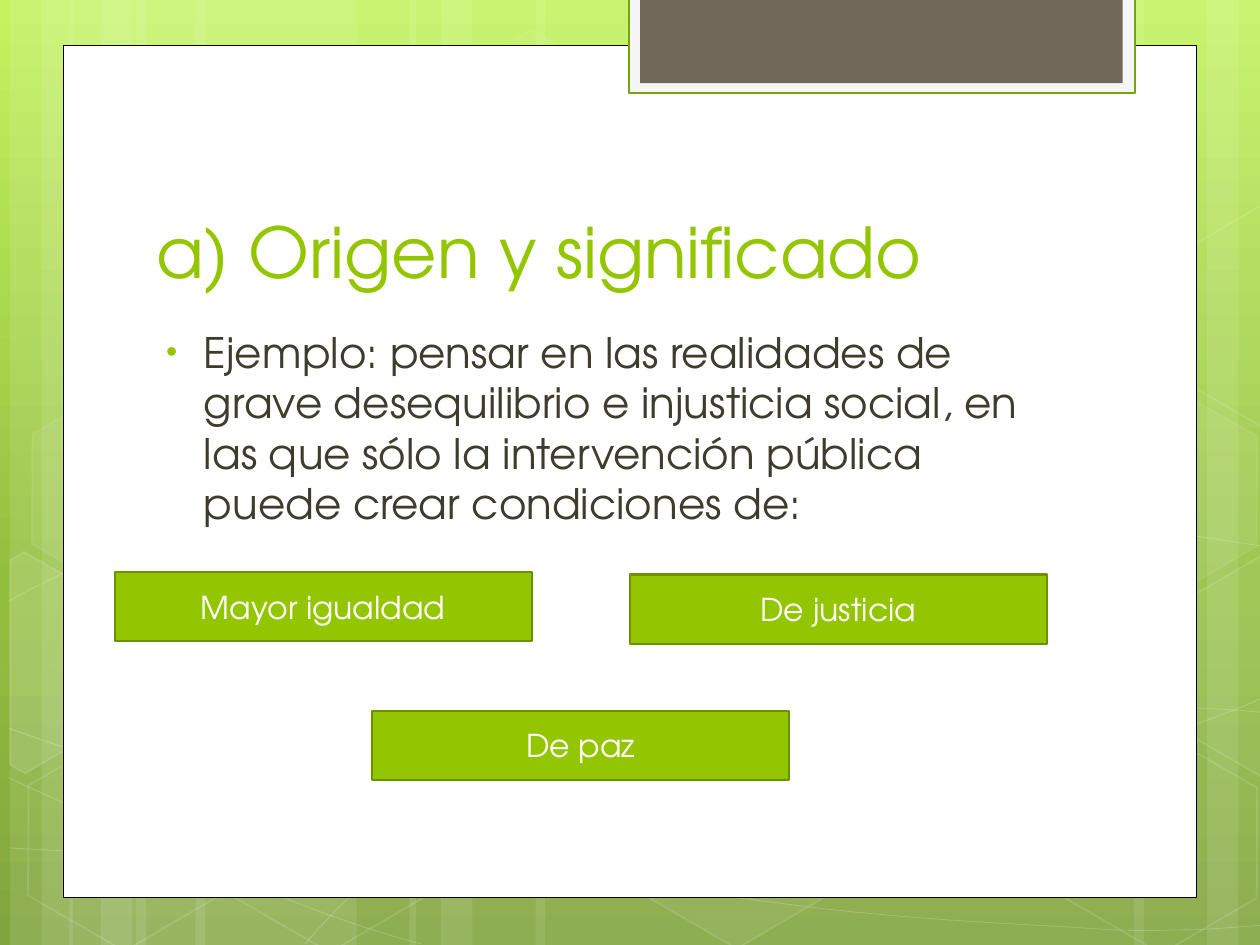
from lxml import etree
from pptx import Presentation
from pptx.dml.color import RGBColor
from pptx.enum.shapes import MSO_SHAPE
from pptx.enum.text import MSO_ANCHOR, PP_ALIGN
from pptx.oxml.ns import qn
from pptx.util import Inches, Pt

RECTANGLE, HEXAGON = MSO_SHAPE.RECTANGLE, MSO_SHAPE.HEXAGON
TOP, MIDDLE, BOTTOM = MSO_ANCHOR.TOP, MSO_ANCHOR.MIDDLE, MSO_ANCHOR.BOTTOM
LEFT, CENTER = PP_ALIGN.LEFT, PP_ALIGN.CENTER

WIDTH, HEIGHT = 10, 7.5
FONT = "TeX Gyre Adventor"
COLORS = {
    "white": "FFFFFF", "black": "000000", "accent": "94C600", "button_edge": "6D9200",
    "body": "3E3D2D", "tab": "F5F5F5", "tab_edge": "74A510", "tab_core": "71685A",
}
BACKGROUND = [(0, "C3F35F"), (62, "93BF3F"), (100, "81A53E")]

TITLE = "a) Origen y significado"
BODY = ("Ejemplo: pensar en las realidades de grave desequilibrio e injusticia social, "
        "en las que sólo la intervención pública puede crear condiciones de:")
BUTTON_LEFT, BUTTON_RIGHT = 0.91, 5
BUTTON_SIZE = (3.31, 0.55)
BUTTONS = [
    ("Mayor igualdad", BUTTON_LEFT, 4.54),
    ("De justicia", BUTTON_RIGHT, 4.56),
    ("De paz", (BUTTON_LEFT + BUTTON_RIGHT) / 2, 5.64),
]

STRIPES = [
    (1.08, 1.75), (0.08, 0.5), (0.33, 0.83), (1.55, 1.75), (0.55, 0.5), (0.8, 0.83),
    (7.33, 1.75), (9.58, 0.5), (9, 0.83), (4.25, 3.08), (3.25, 0.5), (3.5, 0.83),
]

CURVES = [
    [(0.07, 6.73), (0.61, 6.76), (1.15, 6.79), (1.9, 6.78), (2.65, 6.77), (3.58, 6.75),
     (4.58, 6.65), (5.58, 6.55), (7, 6.36), (7.92, 6.17), (8.83, 5.98), (9.77, 5.68), (10.07, 5.51)],
    [(0.07, 4.77), (0.36, 4.61), (0.65, 4.46), (1.21, 4.31), (1.78, 4.16), (2.59, 3.94),
     (3.47, 3.87), (4.36, 3.8), (5.44, 3.79), (6.54, 3.87), (7.64, 3.95), (9.47, 4.26), (10.07, 4.34)],
    [(0.06, 6.17), (1.27, 6.72), (2.47, 7.27), (3.34, 7.49)],
    [(0.07, 5.78), (0.38, 5.89), (0.7, 6), (1.28, 6.16), (1.86, 6.31), (2.73, 6.56), (3.57, 6.73),
     (4.4, 6.9), (5.45, 7.08), (6.28, 7.18), (7.11, 7.29), (8, 7.33), (8.53, 7.36),
     (9.05, 7.4), (9.19, 7.38), (9.45, 7.38), (9.71, 7.37), (9.89, 7.35), (10.07, 7.34)],
    [(2.42, 7.49), (2.6, 7.29), (2.78, 7.09), (3.02, 6.91), (3.26, 6.73), (3.6, 6.53), (3.88, 6.39),
     (4.16, 6.25), (4.33, 6.19), (4.7, 6.09), (5.06, 5.99), (5.73, 5.85), (6.08, 5.78),
     (6.44, 5.71), (6.49, 5.71), (6.8, 5.69), (7.11, 5.66), (7.6, 5.63), (7.94, 5.62),
     (8.29, 5.61), (8.86, 5.62), (8.86, 5.62), (8.86, 5.62), (9.53, 5.62), (9.53, 5.62),
     (9.71, 5.63), (9.88, 5.64), (9.97, 5.65), (10.06, 5.66), (10.03, 5.65), (10.06, 5.66)],
]
HEXAGON_SIZE = (1.75, 1.52)
HEXAGONS = [
    (3.34, 0.36, 4, 8), (4.97, 5.89, 6, 12), (0.11, 5.91, 0, 12), (0.14, 3.12, 7, 8),
    (1.74, 5.92, 0, 12), (7.53, 4.53, 10, 12), (8.34, 5.93, 0, 12), (8.34, 3.14, 7, 8),
]
CUT_HEXAGONS = [
    ([(0.08, 4.45), (0.19, 4.38), (0.96, 4.82), (0.95, 5.7), (0.2, 6.14), (0.08, 6.07)], 10),
    ([(9.26, 4.85), (10.01, 4.41), (10.09, 4.46), (10.09, 6.13), (10.02, 6.17), (9.26, 5.73)], 4),
    ([(9.26, 2.07), (10.01, 1.63), (10.1, 1.68), (10.09, 3.35), (10.02, 3.39), (9.26, 2.95)], 0),
]
PANELS = [
    ((0.5, 0.36, 9, 6.76), "white", "black", 0.5),
    ((4.99, -0.02, 4.02, 0.76), "tab", "tab_edge", 1.25),
    ((5.08, -0.02, 3.83, 0.68), "tab_core", None, 0),
]


def rgb(name):
    return RGBColor.from_string(COLORS[name])


def add_element(parent, tag, **attributes):
    return etree.SubElement(parent, qn(tag), {key: str(value) for key, value in attributes.items()})


def paint(fill, color, opacity=100):
    if not color or not opacity:
        fill.background()
        return
    fill.solid()
    fill.fore_color.rgb = rgb(color)
    if opacity < 100:
        color_element = fill._xPr.find(".//" + qn("a:srgbClr"))
        add_element(color_element, "a:alpha", val=opacity * 1000)


def style(shape, fill, line=None, width=0, fill_opacity=100, line_opacity=100):
    shape.shadow.inherit = False
    paint(shape.fill, fill, fill_opacity)
    paint(shape.line.fill, line, line_opacity)
    if line:
        shape.line.width = Pt(width)


def add_preset(slide, preset, box, *look):
    shape = slide.shapes.add_shape(preset, *map(Inches, box))
    style(shape, *look)
    return shape


def add_outline(slide, points, closed, *look):
    places = [(Inches(x), Inches(y)) for x, y in points]
    builder = slide.shapes.build_freeform(*places[0])
    builder.add_line_segments(places[1:], close=closed)
    shape = builder.convert_to_shape()
    style(shape, *look)
    return shape


def bend(shape):
    outline = shape._element.find(".//" + qn("a:path"))
    lines = outline.findall(qn("a:lnTo"))
    for first in range(0, len(lines), 3):
        curve = add_element(outline, "a:cubicBezTo")
        for line in lines[first:first + 3]:
            curve.append(line[0])
            outline.remove(line)


def write(shape, text, size, color, anchor, alignment):
    frame = shape.text_frame
    frame.word_wrap = True
    frame.vertical_anchor = anchor
    paragraph = frame.paragraphs[0]
    paragraph.alignment = alignment
    run = paragraph.add_run()
    run.text = text
    run.font.name, run.font.size = FONT, Pt(size)
    run.font.color.rgb = rgb(color)
    return paragraph


def add_bullet(paragraph):
    paragraph.space_before = Pt(4.8)
    properties = paragraph._p.get_or_add_pPr()
    properties.set("marL", str(Inches(0.38)))
    properties.set("indent", str(Inches(-0.3)))
    add_element(add_element(properties, "a:buClr"), "a:srgbClr", val=COLORS["accent"])
    add_element(properties, "a:buSzPct", val=76000)
    add_element(properties, "a:buFont", typeface="Arial")
    add_element(properties, "a:buChar", char="•")


def draw_background(slide):
    fill = slide.background.fill
    fill.gradient()
    fill.gradient_angle = 270
    stops = slide._element.find(".//" + qn("a:gsLst"))
    for stop in list(stops):
        stops.remove(stop)
    for position, color in BACKGROUND:
        add_element(add_element(stops, "a:gs", pos=position * 1000), "a:srgbClr", val=color)
    for left, width in STRIPES:
        add_preset(slide, RECTANGLE, (left, 0, width, HEIGHT), "white", None, 0, 10)
    for points in CURVES:
        bend(add_outline(slide, points, False, None, "white", 0.5, 0, 20))
    for left, top, fill_opacity, line_opacity in HEXAGONS:
        shape = add_preset(slide, HEXAGON, (left, top, *HEXAGON_SIZE),
                           "white", "white", 1, fill_opacity, line_opacity)
        shape.adjustments[0] = 0.285
        shape.rotation = 30
    for points, fill_opacity in CUT_HEXAGONS:
        add_outline(slide, points, True, "white", "white", 1, fill_opacity, 12)
    for panel in PANELS:
        add_preset(slide, RECTANGLE, *panel)


def main():
    presentation = Presentation()
    presentation.slide_width, presentation.slide_height = Inches(WIDTH), Inches(HEIGHT)
    slide = presentation.slides.add_slide(presentation.slide_layouts[6])
    draw_background(slide)
    title = slide.shapes.add_textbox(*map(Inches, (1.14, 1.12, 7.68, 1.25)))
    write(title, TITLE, 40, "accent", BOTTOM, LEFT)
    body = slide.shapes.add_textbox(*map(Inches, (1.14, 2.54, 7.41, 3.84)))
    add_bullet(write(body, BODY, 24, "body", TOP, LEFT))
    for text, left, top in BUTTONS:
        button = add_preset(slide, RECTANGLE, (left, top, *BUTTON_SIZE), "accent", "button_edge", 1.25)
        write(button, text, 18, "white", MIDDLE, CENTER)
    presentation.save("out.pptx")


if __name__ == "__main__":
    main()
